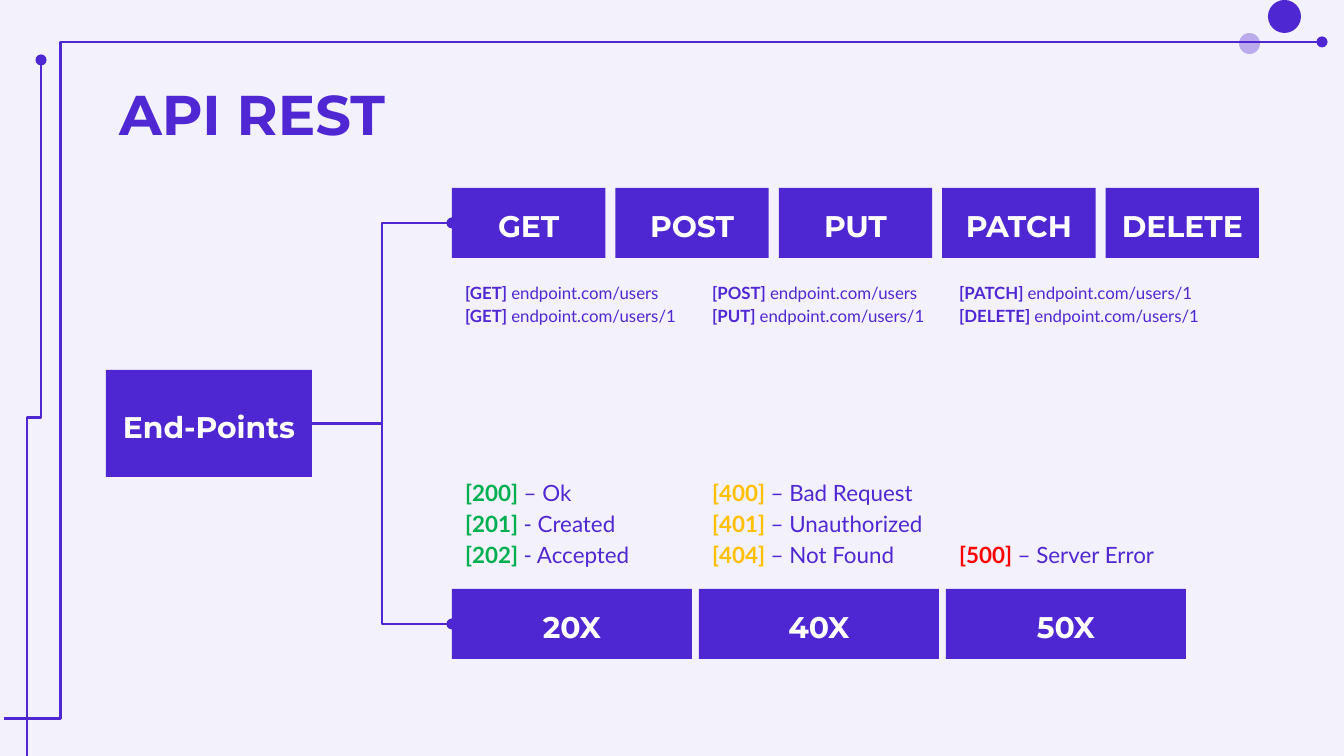
from dataclasses import dataclass

from lxml import etree
from pptx import Presentation
from pptx import util as u
from pptx.dml.color import RGBColor
from pptx.enum import shapes, text
from pptx.oxml import ns

PX = 914400 / 134.4


@dataclass(frozen=True)
class Theme:
    background: str = "F3F1FC"
    primary: str = "4E27D2"
    ink: str = "5028D3"
    pale: str = "BBABED"
    white: str = "FFFFFF"
    success: str = "00B050"
    client_error: str = "FFC000"
    server_error: str = "FF0000"
    heading_font: str = "Montserrat"
    body_font: str = "Lato"
    title_size: int = 30
    box_size: int = 16
    code_size: int = 12
    route_size: int = 9
    line_width: float = 1.5
    line_spacing: float = 1.15


THEME = Theme()
METHODS = ["GET", "POST", "PUT", "PATCH", "DELETE"]
# Each column: width of its text, then (method, address) rows
ROUTES = [
    (240, [("GET", "endpoint.com/users"), ("GET", "endpoint.com/users/1")]),
    (240, [("POST", "endpoint.com/users"), ("PUT", "endpoint.com/users/1")]),
    (284, [("PATCH", "endpoint.com/users/1"), ("DELETE", "endpoint.com/users/1")]),
]
STATUSES = [
    ("20X", THEME.success, [("200", "– Ok"), ("201", "- Created"), ("202", "- Accepted")]),
    ("40X", THEME.client_error,
     [("400", "– Bad Request"), ("401", "– Unauthorized"), ("404", "– Not Found")]),
    ("50X", THEME.server_error, [("500", "– Server Error")]),
]


def emu(*lengths):
    return [u.Emu(round(length * PX)) for length in lengths]


def rgb(value):
    return RGBColor.from_string(value)


def columns(box, count, gap):
    """Split a box into equal columns."""
    left, top, width, height = box
    column = (width - gap * (count - 1)) / count
    return [(left + i * (column + gap), top, column, height) for i in range(count)]


def set_font(font, name, size, color, bold):
    font.name, font.size, font.bold = name, u.Pt(size), bold
    font.color.rgb = rgb(color)


def prepare_frame(shape, anchor):
    frame = shape.text_frame
    frame.word_wrap = True
    frame.vertical_anchor = anchor
    frame.margin_left = frame.margin_right = u.Inches(0.1)
    frame.margin_top = frame.margin_bottom = u.Inches(0.1)
    return frame


def add_filled(slide, kind, box, color):
    shape = slide.shapes.add_shape(kind, *emu(*box))
    shape.shadow.inherit = False
    shape.fill.solid()
    shape.fill.fore_color.rgb = rgb(color)
    shape.line.fill.background()
    return shape


def add_label(slide, box, label):
    shape = add_filled(slide, shapes.MSO_SHAPE.RECTANGLE, box, THEME.primary)
    paragraph = prepare_frame(shape, text.MSO_ANCHOR.MIDDLE).paragraphs[0]
    paragraph.text = label
    paragraph.alignment = text.PP_ALIGN.CENTER
    paragraph.line_spacing = THEME.line_spacing
    set_font(paragraph.font, THEME.heading_font, THEME.box_size, THEME.white, True)


def add_notes(slide, box, rows, size, key_color, anchor):
    """Lines that start with a bold key in square brackets."""
    frame = prepare_frame(slide.shapes.add_textbox(*emu(*box)), anchor)
    for index, (key, note) in enumerate(rows):
        paragraph = frame.add_paragraph() if index else frame.paragraphs[0]
        paragraph.line_spacing = THEME.line_spacing
        for words, color, bold in ((f"[{key}] ", key_color, True), (note, THEME.ink, False)):
            run = paragraph.add_run()
            run.text = words
            set_font(run.font, THEME.body_font, size, color, bold)


def add_elbow(slide, start, end, bend=0.5, upright=False):
    """Elbow with a dot at its end; an upright one leaves its start upwards."""
    (x1, y1), (x2, y2) = start, end
    if upright:
        center_x, center_y = (x1 + x2) / 2, (y1 + y2) / 2
        half_run, half_rise = (y1 - y2) / 2, (x2 - x1) / 2
        x1, x2 = center_x - half_run, center_x + half_run
        y1, y2 = center_y - half_rise, center_y + half_rise
    connector = slide.shapes.add_connector(
        shapes.MSO_CONNECTOR.ELBOW, *emu(x1, y1, x2, y2))
    connector.line.color.rgb = rgb(THEME.primary)
    connector.line.width = u.Pt(THEME.line_width)
    properties = connector._element.spPr
    if upright:
        properties.find(ns.qn("a:xfrm")).set("rot", str(270 * 60000))
    guides = properties.find(ns.qn("a:prstGeom")).find(ns.qn("a:avLst"))
    etree.SubElement(guides, ns.qn("a:gd"), name="adj1", fmla=f"val {round(bend * 100000)}")
    etree.SubElement(properties.find(ns.qn("a:ln")), ns.qn("a:tailEnd"), type="oval")
    etree.SubElement(properties, ns.qn("a:effectLst"))


def add_decoration(slide, box):
    left, top, width, height = box
    right, bottom = left + width, top + height
    oval = shapes.MSO_SHAPE.OVAL
    add_filled(slide, oval, (right - 105, top + 33, 21, 21), THEME.pale)
    add_filled(slide, oval, (right - 76, top, 33, 33), THEME.primary)
    add_elbow(slide, (left + 4, bottom - 37), (right - 22, top + 42), 0.043)
    add_elbow(slide, (left + 27, bottom), (left + 41, top + 60), 0.486, upright=True)


def add_title(slide, box, title):
    frame = prepare_frame(slide.shapes.add_textbox(*emu(*box)), text.MSO_ANCHOR.TOP)
    paragraph = frame.paragraphs[0]
    paragraph.text = title
    set_font(paragraph.font, THEME.heading_font, THEME.title_size, THEME.ink, True)


def add_root(slide, box, label, targets):
    left, top, width, height = box
    for target in targets:
        add_elbow(slide, (left + width, top + height / 2), target)
    add_label(slide, box, label)


def add_methods(slide, box):
    left, top, width, height = box
    for cell, method in zip(columns((left, top, width, 70), len(METHODS), 10), METHODS):
        add_label(slide, cell, method)
    for index, (note_width, rows) in enumerate(ROUTES):
        note_box = (left + 247 * index, top + 78, note_width, height - 78)
        add_notes(slide, note_box, rows, THEME.route_size, THEME.ink, text.MSO_ANCHOR.TOP)


def add_statuses(slide, box):
    cells = columns(box, len(STATUSES), 7)
    for (left, top, width, height), (label, color, rows) in zip(cells, STATUSES):
        add_label(slide, (left, top + height - 70, width, 70), label)
        add_notes(slide, (left, top, width, 117), rows, THEME.code_size, color,
                  text.MSO_ANCHOR.BOTTOM)


def main():
    presentation = Presentation()
    presentation.slide_width, presentation.slide_height = emu(1344, 756)
    slide = presentation.slides.add_slide(presentation.slide_layouts[6])
    slide.background.fill.solid()
    slide.background.fill.fore_color.rgb = rgb(THEME.background)
    add_decoration(slide, (0, 0, 1344, 756))
    add_title(slide, (106, 66, 1133, 85), "API REST")
    add_root(slide, (106, 370, 206, 107), "End-Points", [(452, 223), (452, 624)])
    add_methods(slide, (452, 188, 807, 195))
    add_statuses(slide, (452, 464, 734, 195))
    presentation.save("out.pptx")


if __name__ == "__main__":
    main()
